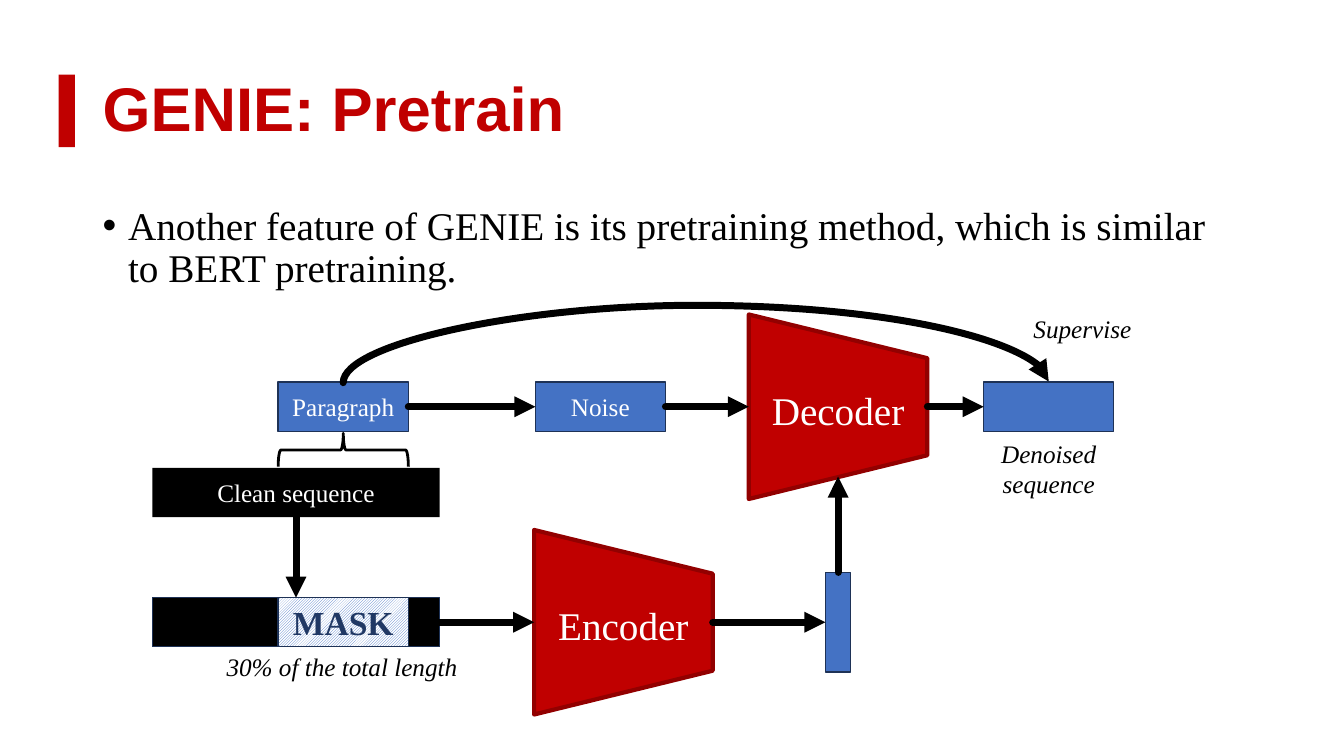
from lxml import etree
from pptx import Presentation
from pptx.dml.color import RGBColor
from pptx.enum import dml, shapes, text
from pptx.oxml import ns
from pptx.util import Cm, Pt

RED, DARK_RED, BLUE, NAVY = "C00000", "920000", "4472C4", "1E3256"
BLACK, WHITE = "000000", "FFFFFF"
SERIF = "Times New Roman"
SHAPE = shapes.MSO_SHAPE
LINK = shapes.MSO_CONNECTOR
CENTER = text.PP_ALIGN.CENTER
MIDDLE = text.MSO_ANCHOR.MIDDLE
TOKEN_W, BAR_W, BOX_H = 3.28, 7.24, 1.24
CODER_W, CODER_H = 4.5, 4.65


def rgb(color):
    return RGBColor.from_string(color)


def add_child(parent, tag, **attrs):
    child = etree.SubElement(parent, ns.qn(tag))
    for name, value in attrs.items():
        child.set(name, value)
    return child


def write(sp, lines, size, color=BLACK, align=None, anchor=None, wrap=True,
          para=None, **font):
    """Fill a shape with one paragraph per line and return the paragraphs."""
    tf = sp.text_frame
    tf.word_wrap = wrap
    if anchor is not None:
        tf.vertical_anchor = anchor
    tf.text = lines
    font = {"name": SERIF, "size": Pt(size), **font}
    for p in tf.paragraphs:
        for name, value in {"alignment": align, **(para or {})}.items():
            setattr(p, name, value)
        for r in p.runs:
            r.font.color.rgb = rgb(color)
            for name, value in font.items():
                setattr(r.font, name, value)
    return tf.paragraphs


def add_text(slide, x, y, w, h, lines, size, **fmt):
    sp = slide.shapes.add_textbox(Cm(x), Cm(y), Cm(w), Cm(h))
    return write(sp, lines, size, **fmt)


def add_shape(slide, kind, x, y, w, h, fill=None, line=None, width=1):
    sp = slide.shapes.add_shape(kind, Cm(x), Cm(y), Cm(w), Cm(h))
    sp.shadow.inherit = False
    if fill:
        sp.fill.solid()
        sp.fill.fore_color.rgb = rgb(fill)
    else:
        sp.fill.background()
    if line:
        sp.line.color.rgb = rgb(line)
        sp.line.width = Pt(width)
    else:
        sp.line.fill.background()
    return sp


def add_arrow(slide, x1, y1, x2, y2, kind=LINK.STRAIGHT):
    c = slide.shapes.add_connector(kind, Cm(x1), Cm(y1), Cm(x2), Cm(y2))
    c.line.color.rgb = rgb(BLACK)
    c.line.width = Pt(5)
    ln = c.line._get_or_add_ln()
    ln.set("cap", "rnd")
    add_child(ln, "a:tailEnd", type="triangle")
    add_child(c._element.spPr, "a:effectLst")
    return c


def add_arch(slide, x1, x2, y, rise):
    """Curved arrow over the row: a flat connector turned by 90 degrees."""
    flat, mid, half = 0.03, (x1 + x2) / 2, (x2 - x1) / 2
    c = add_arrow(slide, mid + flat / 2, y + half, mid - flat / 2, y - half,
                  LINK.CURVE)
    sp_pr = c._element.spPr
    sp_pr.xfrm.set("rot", "5400000")
    guides = sp_pr.find(ns.qn("a:prstGeom")).get_or_add_avLst()
    add_child(guides, "a:gd", name="adj1",
              fmla=f"val {round(rise / flat * 100000)}")


def add_token(slide, x, y, label=""):
    sp = add_shape(slide, SHAPE.RECTANGLE, x, y, TOKEN_W, BOX_H, BLUE, NAVY)
    if label:
        write(sp, label, 18, color=WHITE, align=CENTER, anchor=MIDDLE,
              wrap=False)
    return sp


def add_coder(slide, cx, cy, label):
    """Trapezoid that narrows to the right, with an upright label."""
    sp = add_shape(slide, SHAPE.TRAPEZOID, cx - CODER_H / 2, cy - CODER_W / 2,
                   CODER_H, CODER_W, RED, DARK_RED, 3)
    sp.rotation = 90
    sp.adjustments[0] = 0.245
    add_text(slide, cx - 1.93, cy - 0.65, 3.86, 1.45, label, 28, color=WHITE,
             align=CENTER, wrap=False)


def add_title(slide, x, y, w, h):
    add_shape(slide, SHAPE.RECTANGLE, x, y + 0.86, 0.41, 1.83, RED)
    add_text(slide, x + 0.86, y, w - 0.86, h, "GENIE: Pretrain", 44,
             color=RED, anchor=MIDDLE, para={"line_spacing": 0.9},
             name="Arial", bold=True)


def add_body(slide, x, y, w, h):
    p, = add_text(slide, x, y, w, h,
                  "Another feature of GENIE is its pretraining method, "
                  "which is similar to BERT pretraining.", 28,
                  para={"line_spacing": 0.9, "space_before": Pt(10)})
    p_pr = p._p.get_or_add_pPr()
    p_pr.set("marL", str(Cm(0.64)))
    p_pr.set("indent", str(-Cm(0.64)))
    add_child(p_pr, "a:buFont", typeface="Arial")
    add_child(p_pr, "a:buChar", char="•")


def add_sequences(slide, x, y, token_x):
    """Clean sequence, with its masked version below."""
    mask_y = y + 3.27
    clean = add_shape(slide, SHAPE.RECTANGLE, x, y, BAR_W, BOX_H, BLACK)
    write(clean, "Clean sequence", 18, color=WHITE, align=CENTER,
          anchor=MIDDLE)
    add_shape(slide, SHAPE.RECTANGLE, x, mask_y, BAR_W, BOX_H, BLACK, NAVY)
    mask = add_token(slide, token_x, mask_y)
    mask.fill.patterned()
    mask.fill.pattern = dml.MSO_PATTERN.DARK_UPWARD_DIAGONAL
    mask.fill.fore_color.rgb = rgb(BLUE)
    mask.fill.back_color.rgb = rgb(WHITE)
    write(mask, "MASK", 24, color="203864", align=CENTER, anchor=MIDDLE,
          wrap=False, bold=True)
    add_text(slide, x + 1.62, mask_y + BOX_H, 6.4, 1.02,
             "30% of the total length", 18, wrap=False, italic=True)
    add_arrow(slide, x + BAR_W / 2, y + BOX_H, x + BAR_W / 2, mask_y)


def add_diagram(slide, x, y):
    paragraph_x, noise_x, denoised_x = x + 3.17, x + 9.65, x + 20.95
    top, clean_y = y + 2.01, y + 4.17
    decode_y, encode_y = top + BOX_H / 2, clean_y + 3.27 + BOX_H / 2
    encoder_x, decoder_x = x + 11.87, x + 17.28
    code_w, code_h = 0.64, 2.51
    code_x, code_y = decoder_x - code_w / 2, encode_y - code_h / 2
    paragraph_mid = paragraph_x + TOKEN_W / 2
    denoised_mid = denoised_x + TOKEN_W / 2

    add_sequences(slide, x, clean_y, paragraph_x)
    brace = add_shape(slide, SHAPE.LEFT_BRACE, paragraph_mid - 0.42,
                      y + 3.72 - TOKEN_W / 2, 0.84, TOKEN_W, None, BLACK, 2)
    brace.rotation = 90
    for token_x, label in ((paragraph_x, "Paragraph"), (noise_x, "Noise"),
                           (denoised_x, "")):
        add_token(slide, token_x, top, label)
    add_coder(slide, encoder_x, encode_y, "Encoder")
    add_coder(slide, decoder_x, decode_y, "Decoder")
    add_shape(slide, SHAPE.RECTANGLE, code_x, code_y, code_w, code_h, BLUE,
              NAVY)

    for start, end, row in (
            (paragraph_x + TOKEN_W, noise_x, decode_y),
            (noise_x + TOKEN_W, decoder_x - CODER_W / 2, decode_y),
            (decoder_x + CODER_W / 2, denoised_x, decode_y),
            (x + BAR_W, encoder_x - CODER_W / 2, encode_y),
            (encoder_x + CODER_W / 2, code_x, encode_y)):
        add_arrow(slide, start, row, end, row)
    add_arrow(slide, decoder_x, code_y, decoder_x, y + 4.39)
    add_arch(slide, paragraph_mid, denoised_mid, top, 1.95)

    for mid, label_y, h, label in (
            (denoised_mid, y + 3.3, 1.8, "Denoised\nsequence"),
            (denoised_mid + 0.85, y + 0.15, 1.02, "Supervise")):
        add_text(slide, mid - 1.5, label_y, 3, h, label, 18, align=CENTER,
                 wrap=False, italic=True)


def main():
    prs = Presentation()
    prs.slide_width, prs.slide_height = Cm(33.87), Cm(19.05)
    slide = prs.slides.add_slide(prs.slide_layouts[6])
    add_title(slide, 1.48, 1.02, 30.07, 3.56)
    add_body(slide, 2.34, 5.08, 29.21, 2.54)
    add_diagram(slide, 3.84, 7.62)
    prs.save("out.pptx")


if __name__ == "__main__":
    main()
